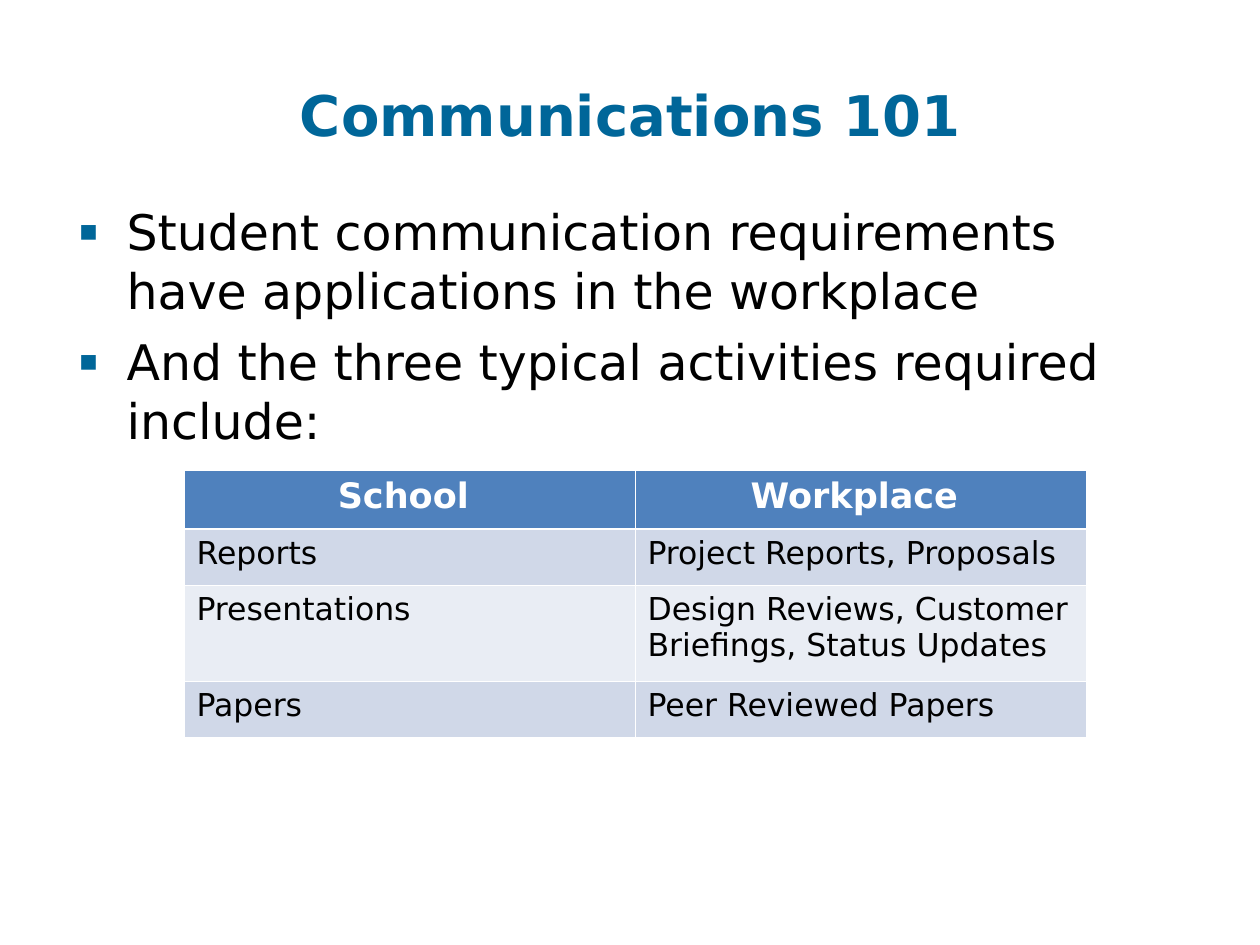
from lxml.etree import SubElement
from pptx import Presentation
from pptx.dml.color import RGBColor
from pptx.enum.text import MSO_ANCHOR, MSO_AUTO_SIZE, PP_ALIGN
from pptx.oxml.ns import qn
from pptx.util import Emu, Pt

PIXELS_PER_INCH = 126
FONT = "DejaVu Sans"
TEAL = "006699"
BLACK = "000000"
WHITE = "FFFFFF"
HEADER_BLUE = "4F81BD"
BANDS = ("D0D8E8", "E9EDF4")
BULLETS = (
    "Student communication requirements have applications in the workplace",
    "And the three typical activities required include:",
)
ROWS = (
    ("School ", "Workplace "),
    ("Reports", "Project Reports, Proposals"),
    ("Presentations", "Design Reviews, Customer Briefings, Status Updates"),
    ("Papers", "Peer Reviewed Papers"),
)
ROW_HEIGHTS = (59, 56, 96, 56)
COLUMN_WIDTH = 451


def px(length):
    return Emu(round(length * 914400 / PIXELS_PER_INCH))


def color(value):
    return RGBColor.from_string(value)


def write(para, text, size=18, fill=BLACK, bold=False, align=PP_ALIGN.LEFT, before=0):
    para.text = text
    para.alignment = align
    para.space_before = Pt(before)
    font = para.font
    font.name = FONT
    font.size = Pt(size)
    font.bold = bold
    font.color.rgb = color(fill)


def place(shape, left, top, width, height, anchor):
    shape.left, shape.top = px(left), px(top)
    shape.width, shape.height = px(width), px(height)
    frame = shape.text_frame
    frame.word_wrap = True
    frame.auto_size = MSO_AUTO_SIZE.NONE
    frame.vertical_anchor = anchor
    return frame


def add_bullet(para):
    properties = para._p.get_or_add_pPr()
    properties.set("marL", str(px(48)))
    properties.set("indent", str(-px(48)))
    bullet_color = SubElement(properties, qn("a:buClr"))
    SubElement(bullet_color, qn("a:srgbClr"), val=TEAL)
    SubElement(properties, qn("a:buSzPct"), val="60000")
    SubElement(properties, qn("a:buFont"), typeface=FONT)
    SubElement(properties, qn("a:buChar"), char="▪")


def fill_title(page):
    frame = place(page.shapes.title, 76, 35, 1109, 158, MSO_ANCHOR.MIDDLE)
    write(frame.paragraphs[0], "Communications 101", size=32, fill=TEAL,
          bold=True, align=PP_ALIGN.CENTER)


def fill_body(page):
    frame = place(page.placeholders[1], 66, 195, 1131, 624, MSO_ANCHOR.TOP)
    for index, text in enumerate(BULLETS):
        para = frame.add_paragraph() if index else frame.paragraphs[0]
        add_bullet(para)
        write(para, text, size=28, before=7 if index else 0)


def add_border(cell, side, width):
    properties = cell._tc.get_or_add_tcPr()
    line = SubElement(properties, qn(f"a:ln{side}"), w=str(Pt(width)))
    fill = SubElement(line, qn("a:solidFill"))
    SubElement(fill, qn("a:srgbClr"), val=WHITE)


def format_cell(cell, text, row):
    header = row == 0
    heavy_side = {0: "B", 1: "T"}.get(row)
    for side in "LRTB":
        add_border(cell, side, 1.47 if side == heavy_side else 0.45)
    cell.fill.solid()
    cell.fill.fore_color.rgb = color(HEADER_BLUE if header else BANDS[(row - 1) % 2])
    write(cell.text_frame.paragraphs[0], text,
          size=20 if header else 18,
          fill=WHITE if header else BLACK,
          bold=header,
          align=PP_ALIGN.CENTER if header else PP_ALIGN.LEFT)


def add_activity_table(page):
    columns = len(ROWS[0])
    frame = page.shapes.add_table(len(ROWS), columns, px(184), px(470),
                                  px(columns * COLUMN_WIDTH), px(sum(ROW_HEIGHTS)))
    table = frame.table
    for column in table.columns:
        column.width = px(COLUMN_WIDTH)
    for row, texts in enumerate(ROWS):
        table.rows[row].height = px(ROW_HEIGHTS[row])
        for column, text in enumerate(texts):
            format_cell(table.cell(row, column), text, row)


def main():
    deck = Presentation()
    deck.slide_width, deck.slide_height = px(1260), px(945)
    page = deck.slides.add_slide(deck.slide_layouts[1])
    fill_title(page)
    fill_body(page)
    add_activity_table(page)
    deck.save("out.pptx")


if __name__ == "__main__":
    main()
